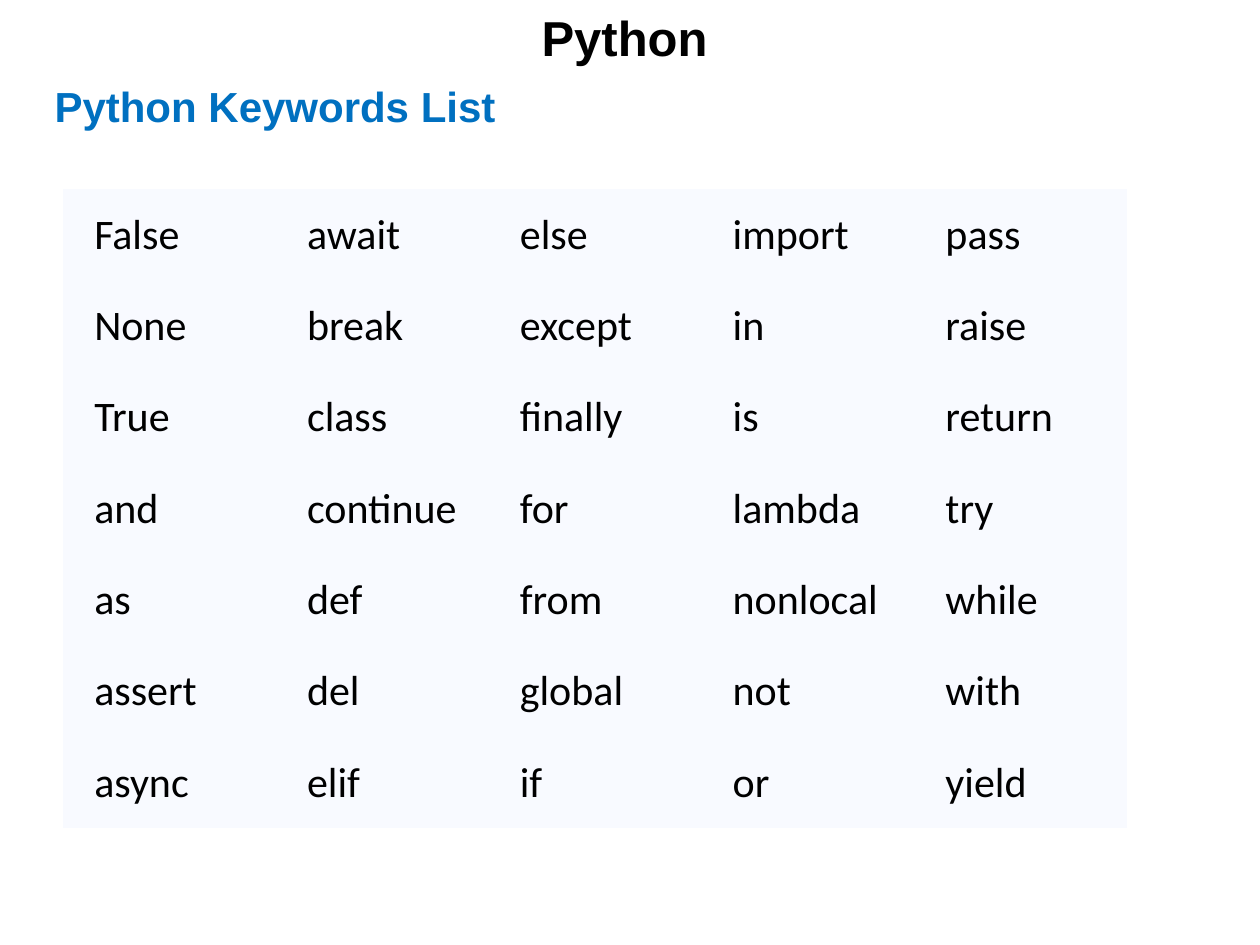
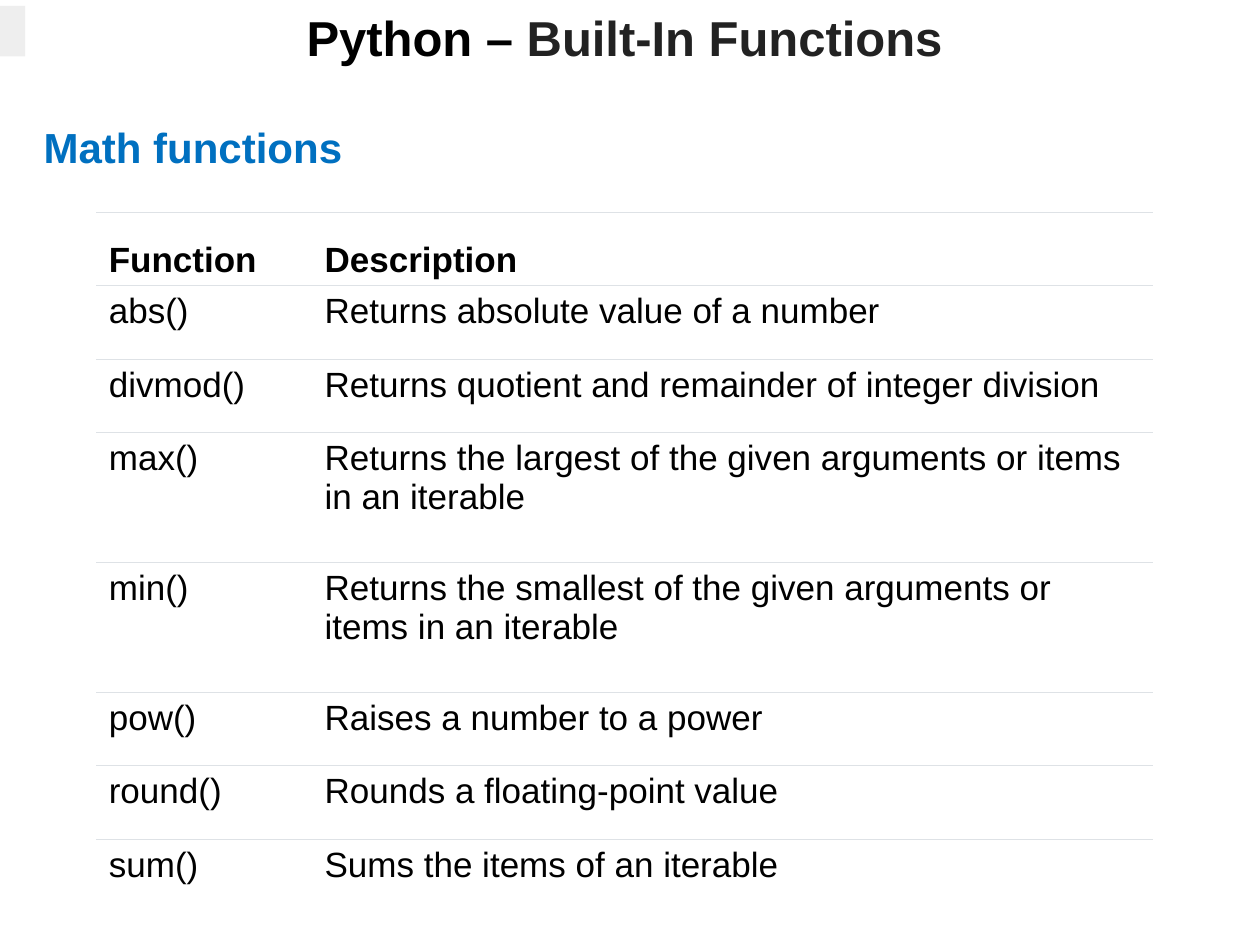
from lxml.etree import SubElement
from pptx import Presentation
from pptx.dml.color import RGBColor
from pptx.enum.shapes import MSO_SHAPE
from pptx.enum.text import MSO_ANCHOR, MSO_AUTO_SIZE, PP_ALIGN
from pptx.oxml.ns import qn
from pptx.util import Cm, Pt

COLORS = {
    "text": "000000",
    "title_accent": "222222",
    "heading": "0070C0",
    "keyword_fill": "F8FAFF",
    "white": "FFFFFF",
    "rule": "DEE2E6",
    "tab": "EEEEEE",
}
NO_STYLE_NO_GRID = "{2D5ABB26-0587-4C30-8999-92F81FD0307C}"

KEYWORD_COLUMNS = [
    "False None True and as assert async".split(),
    "await break class continue def del elif".split(),
    "else except finally for from global if".split(),
    "import in is lambda nonlocal not or".split(),
    "pass raise return try while with yield".split(),
]
MATH_FUNCTIONS = [
    ("Function", "Description"),
    ("abs()", "Returns absolute value of a number"),
    ("divmod()", "Returns quotient and remainder of integer division"),
    ("max()", "Returns the largest of the given arguments or items in an iterable"),
    ("min()", "Returns the smallest of the given arguments or items in an iterable"),
    ("pow()", "Raises a number to a power"),
    ("round()", "Rounds a floating-point value"),
    ("sum()", "Sums the items of an iterable"),
]


def rgb(name):
    return RGBColor.from_string(COLORS[name])


def style(font, size, color="text", bold=False, name="Arial"):
    font.name, font.size, font.bold = name, Pt(size), bold
    font.color.rgb = rgb(color)


def add_titled_slide(prs, *parts):
    """Add a slide whose title is made of (text, color) parts."""
    s = prs.slides.add_slide(prs.slide_layouts[5])
    title = s.shapes.title
    title.left, title.top, title.width, title.height = Cm(0.63), Cm(0.01), Cm(23.92), Cm(1.47)
    tf = title.text_frame
    tf.auto_size = MSO_AUTO_SIZE.NONE
    tf.vertical_anchor = MSO_ANCHOR.MIDDLE
    p = tf.paragraphs[0]
    p.alignment = PP_ALIGN.CENTER
    for text, color in parts:
        r = p.add_run()
        r.text = text
        style(r.font, 28, color, bold=True)
    return s


def add_heading(s, text, left, top, width):
    tf = s.shapes.add_textbox(Cm(left), Cm(top), Cm(width), Cm(1.27)).text_frame
    tf.word_wrap = True
    tf.text = text
    style(tf.paragraphs[0].runs[0].font, 24, "heading", bold=True)


def add_plain_table(s, rows, left, top, widths, heights):
    """Add a table without style or grid and return it."""
    frame = s.shapes.add_table(len(rows), len(widths), Cm(left), Cm(top),
                               Cm(sum(widths)), Cm(sum(heights)))
    table = frame.table
    table.first_row = table.horz_banding = False
    table._tbl.tblPr.find(qn("a:tableStyleId")).text = NO_STYLE_NO_GRID
    for column, width in zip(table.columns, widths):
        column.width = Cm(width)
    for row, height, texts in zip(table.rows, heights, rows):
        row.height = Cm(height)
        for cell, text in zip(row.cells, texts):
            cell.text = text
    return table


def fill_cell(cell, color):
    cell.fill.solid()
    cell.fill.fore_color.rgb = rgb(color)


def add_top_rule(cell):
    ln = SubElement(cell._tc.get_or_add_tcPr(), qn("a:lnT"), w=str(Pt(0.75)))
    fill = SubElement(ln, qn("a:solidFill"))
    SubElement(fill, qn("a:srgbClr"), val=COLORS["rule"])


def add_keyword_table(s):
    rows = list(zip(*KEYWORD_COLUMNS))
    table = add_plain_table(s, rows, 1.27, 3.82, [4.29] * 5, [1.84] * len(rows))
    for cell in table.iter_cells():
        cell.margin_left, cell.margin_right = Cm(0.63), Cm(0.6)
        cell.margin_top = cell.margin_bottom = Cm(0.3)
        cell.vertical_anchor = MSO_ANCHOR.MIDDLE
        fill_cell(cell, "keyword_fill")
        style(cell.text_frame.paragraphs[0].runs[0].font, 24, name="Calibri")


def add_function_table(s):
    heights = [2.62 if len(text) > 60 else 1.48 for _, text in MATH_FUNCTIONS]
    table = add_plain_table(s, MATH_FUNCTIONS, 1.94, 4.28, [4.35, 16.96], heights)
    for i, row in enumerate(table.rows):
        is_header = i == 0
        for cell in row.cells:
            add_top_rule(cell)
            fill_cell(cell, "white")
            cell.vertical_anchor = MSO_ANCHOR.BOTTOM if is_header else MSO_ANCHOR.TOP
            style(cell.text_frame.paragraphs[0].runs[0].font, 20, bold=is_header)


def add_edge_tab(s):
    sp = s.shapes.add_shape(MSO_SHAPE.RECTANGLE, 0, Cm(0.12), Cm(0.51), Cm(1.02))
    sp.shadow.inherit = False
    sp.fill.solid()
    sp.fill.fore_color.rgb = rgb("tab")
    sp.line.fill.background()


def main():
    prs = Presentation()
    prs.slide_width, prs.slide_height = Cm(25.4), Cm(19.05)

    s = add_titled_slide(prs, ("Python", "text"))
    add_heading(s, "Python Keywords List", 0.85, 1.5, 22.66)
    add_keyword_table(s)

    s = add_titled_slide(prs, ("Python – ", "text"), ("Built-In Functions", "title_accent"))
    add_edge_tab(s)
    add_function_table(s)
    add_heading(s, "Math functions", 0.63, 2.32, 8.26)

    prs.save("out.pptx")


if __name__ == "__main__":
    main()
